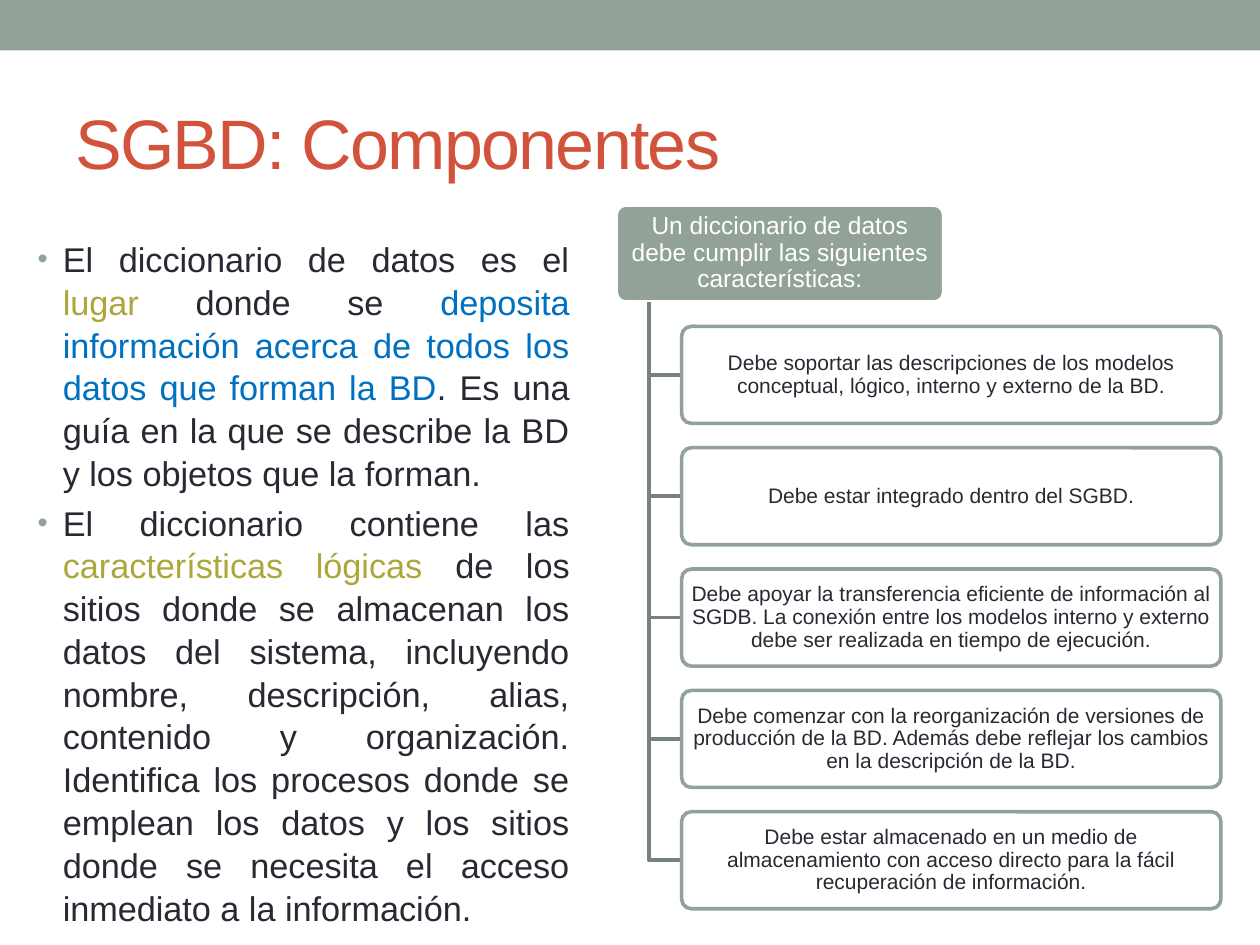
import pptx
import pptx.util
import pptx.dml.color
import pptx.enum.shapes
import pptx.enum.text
import pptx.oxml.ns
import lxml.etree

WIDE = pptx.util.Inches(10)
HIGH = pptx.util.Inches(7.5)
ALIGN = pptx.enum.text.PP_ALIGN
ANCHOR = pptx.enum.text.MSO_ANCHOR
SHAPE = pptx.enum.shapes.MSO_SHAPE

THEME = {
    "face": "Arial",
    "sage": "93A299", "moss": "76827B", "rust": "D2533C", "ink": "292934",
    "olive": "ACA73B", "blue": "0070C0", "white": "FFFFFF",
    "title": 40, "body": 19.6, "root": 14, "leaf": 12, "line": 2.08,
}

BODY = [
    [("El diccionario de datos es el ", "ink"),
     ("lugar", "olive"),
     (" donde se ", "ink"),
     ("deposita información acerca de todos los datos que forman la BD", "blue"),
     (". Es una guía en la que se describe la BD y los objetos que la forman.", "ink")],
    [("El diccionario contiene las ", "ink"),
     ("características lógicas ", "olive"),
     ("de los sitios donde se almacenan los datos del sistema, incluyendo nombre, "
      "descripción, alias, contenido y organización. Identifica los procesos donde se "
      "emplean los datos y los sitios donde se necesita el acceso inmediato a la "
      "información.", "ink")],
]
ROOT = "Un diccionario de datos debe cumplir las siguientes características:"
LEAVES = [
    "Debe soportar las descripciones de los modelos conceptual, lógico, interno y "
    "externo de la BD.",
    "Debe estar integrado dentro del SGBD.",
    "Debe apoyar la transferencia eficiente de información al SGDB. La conexión entre "
    "los modelos interno y externo debe ser realizada en tiempo de ejecución.",
    "Debe comenzar con la reorganización de versiones de producción de la BD. Además "
    "debe reflejar los cambios en la descripción de la BD.",
    "Debe estar almacenado en un medio de almacenamiento con acceso directo para la "
    "fácil recuperación de información.",
]

TOP, STEP, TALL = 21.7, 12.84, 10.27
TRUNK, LEFT = 51.5, 54.1


def across(share):
    return int(WIDE * share / 100)


def down(share):
    return int(HIGH * share / 100)


def place(x, y, w, h):
    return across(x), down(y), across(w), down(h)


def tint(name):
    return pptx.dml.color.RGBColor.from_string(THEME[name])


def apply(item, form):
    for key, value in form.items():
        setattr(item, key, value)


def paint(shape, fill=None, line=None):
    shape.shadow.inherit = False
    if fill:
        shape.fill.solid()
        shape.fill.fore_color.rgb = tint(fill)
    else:
        shape.fill.background()
    if line:
        shape.line.color.rgb = tint(line)
        shape.line.width = pptx.util.Pt(THEME["line"])
    else:
        shape.line.fill.background()


def write(para, text, size, color):
    run = para.add_run()
    run.text = text
    apply(run.font, {"name": THEME["face"], "size": pptx.util.Pt(THEME[size])})
    run.font.color.rgb = tint(color)
    return run


def bullet(para):
    props = para._p.get_or_add_pPr()
    indent = pptx.util.Inches(0.2)
    props.set("marL", str(indent))
    props.set("indent", str(-indent))
    name = pptx.oxml.ns.qn
    color = lxml.etree.SubElement(props, name("a:buClr"))
    lxml.etree.SubElement(color, name("a:srgbClr"), val=THEME["sage"])
    lxml.etree.SubElement(props, name("a:buSzPct"), val="85000")
    lxml.etree.SubElement(props, name("a:buFont"), typeface=THEME["face"])
    lxml.etree.SubElement(props, name("a:buChar"), char="•")


def band(slide):
    shape = slide.shapes.add_shape(SHAPE.RECTANGLE, *place(0, 0, 100, 5.33))
    paint(shape, "sage")


def title(slide, text):
    frame = slide.shapes.add_textbox(*place(5, 7.73, 90, 14.4)).text_frame
    apply(frame, {"word_wrap": True, "vertical_anchor": ANCHOR.MIDDLE})
    run = write(frame.paragraphs[0], text, "title", "rust")
    run.font._element.set("spc", "-100")


def body(slide, paras):
    frame = slide.shapes.add_textbox(*place(2, 24.4, 44.2, 68.8)).text_frame
    frame.word_wrap = True
    for rank, parts in enumerate(paras):
        para = frame.add_paragraph() if rank else frame.paragraphs[0]
        bullet(para)
        apply(para, {"alignment": ALIGN.JUSTIFY, "line_spacing": 1.04,
                     "space_before": pptx.util.Pt(4 if rank else 0)})
        for text, color in parts:
            write(para, text, "body", color)


def card(slide, spot, text, size, fill, line, color):
    shape = slide.shapes.add_shape(SHAPE.ROUNDED_RECTANGLE, *spot)
    shape.adjustments[0] = 0.1
    paint(shape, fill, line)
    frame = shape.text_frame
    side, edge = pptx.util.Inches(0.03), pptx.util.Inches(0.02)
    apply(frame, {"word_wrap": True, "vertical_anchor": ANCHOR.MIDDLE,
                  "margin_left": side, "margin_right": side,
                  "margin_top": edge, "margin_bottom": edge})
    para = frame.paragraphs[0]
    apply(para, {"alignment": ALIGN.CENTER, "line_spacing": 0.9})
    write(para, text, size, color)


def elbow(slide, start, end):
    x, y = across(TRUNK), down(end)
    pen = slide.shapes.build_freeform(x, down(start))
    pen.add_line_segments([(x, y), (across(LEFT), y)], close=False)
    paint(pen.convert_to_shape(), line="moss")


def tree(slide, root, leaves):
    card(slide, place(48.9, TOP, 26, TALL), root, "root", "sage", "white", "white")
    for row, text in enumerate(leaves, 1):
        top = TOP + STEP * row
        elbow(slide, TOP + TALL, top + TALL / 2)
        card(slide, place(LEFT, top, 42.8, TALL), text, "leaf", "white", "sage", "ink")


def main():
    deck = pptx.Presentation()
    apply(deck, {"slide_width": WIDE, "slide_height": HIGH})
    slide = deck.slides.add_slide(deck.slide_layouts[6])
    band(slide)
    title(slide, "SGBD: Componentes")
    body(slide, BODY)
    tree(slide, ROOT, LEAVES)
    deck.save("out.pptx")


if __name__ == "__main__":
    main()
